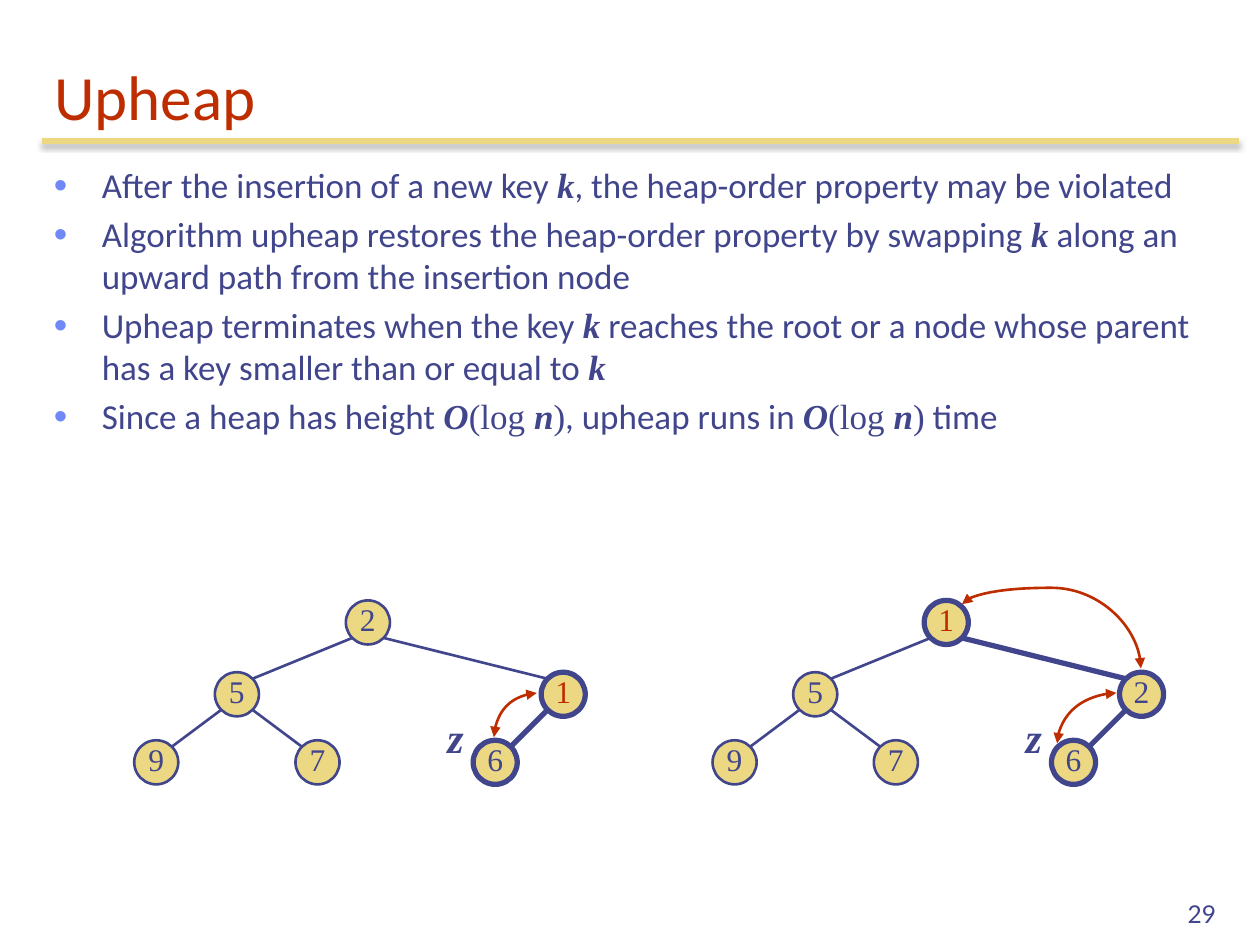
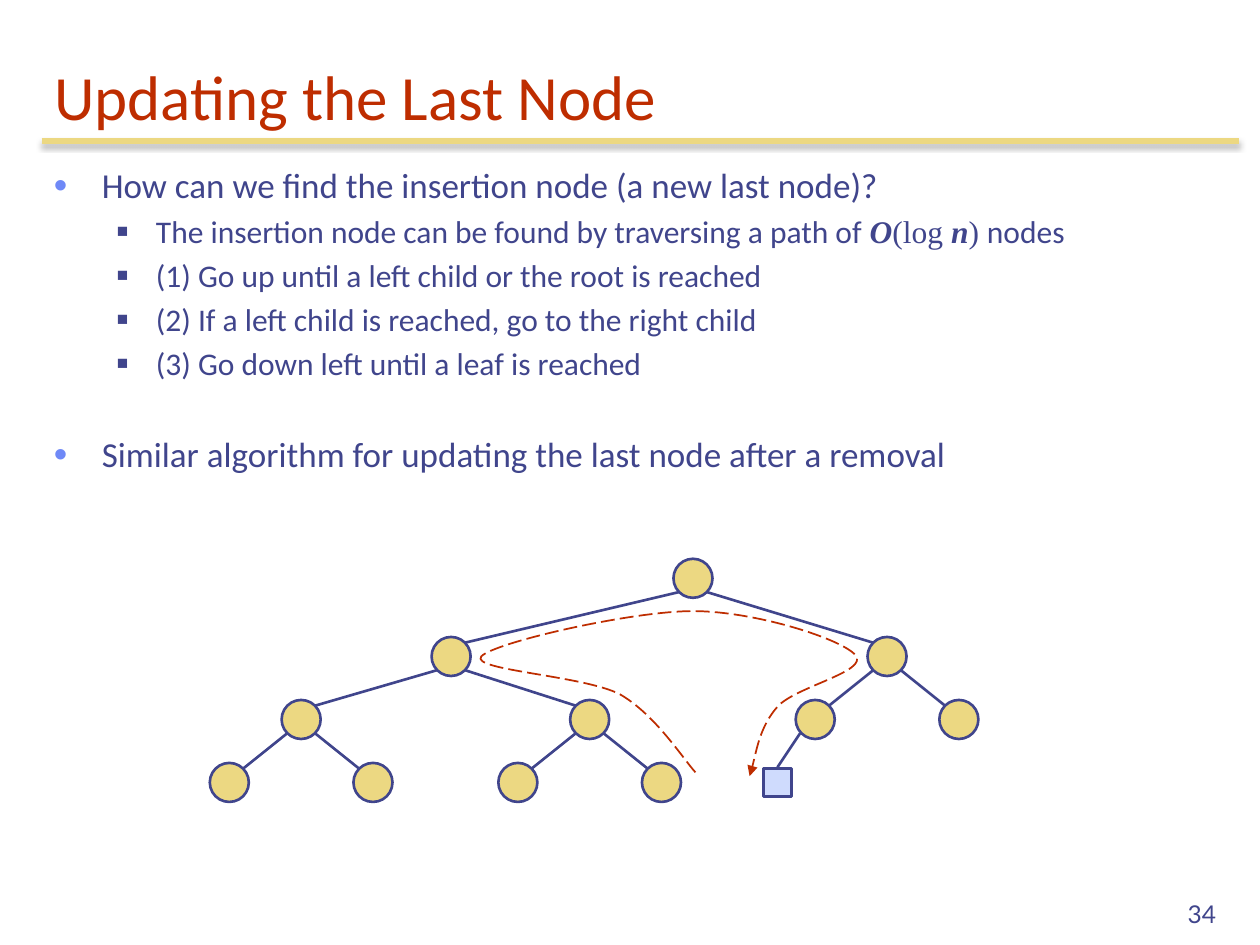
from lxml import etree
from pptx import Presentation
from pptx.dml.color import RGBColor
from pptx.enum import dml, shapes, text
from pptx.oxml.ns import qn
from pptx.util import Inches, Pt

RED = RGBColor(0xBE, 0x2D, 0x00)
NAVY = RGBColor(0x40, 0x45, 0x8C)
BLUE = RGBColor(0x6F, 0x89, 0xF7)
GOLD = RGBColor(0xEC, 0xD8, 0x82)
PALE = RGBColor(0xCF, 0xDB, 0xFD)
BODY, MATH, FOOT = "Calibri", "Times New Roman", "Lato"
LEVELS = [
    {"size": 20, "left": 0.38, "hang": 0.38, "mark": "•", "color": BLUE, "scale": 110},
    {"size": 18, "left": 0.81, "hang": 0.31, "mark": "■", "color": NAVY, "scale": 60},
]
OVAL = shapes.MSO_SHAPE.OVAL
SQUARE = shapes.MSO_SHAPE.RECTANGLE


def add_xml(parent, tag, **attrs):
    node = etree.SubElement(parent, qn(tag))
    for name, value in attrs.items():
        node.set(name, str(value))
    return node


def style(run, size, color=NAVY, face=BODY, strong=False):
    font = run.font
    font.size, font.name = Pt(size), face
    font.bold = font.italic = strong
    font.color.rgb = color


def add_arrow(shape, *ends):
    line = shape.element.spPr.find(qn("a:ln"))
    for end in ends:
        add_xml(line, end, type="triangle")


def add_line(slide, start, end, color=NAVY, width=1.5, kind=shapes.MSO_CONNECTOR.STRAIGHT):
    line = slide.shapes.add_connector(kind, *map(Inches, (*start, *end)))
    line.line.color.rgb = color
    line.line.width = Pt(width)
    return line, add_xml(line.element.spPr, "a:effectLst")


def add_label(slide, box, words, size, face, align, strong=False):
    label = slide.shapes.add_textbox(*map(Inches, box))
    frame = label.text_frame
    frame.text = words
    frame.paragraphs[0].alignment = align
    style(frame.paragraphs[0].runs[0], size, NAVY, face, strong)
    return frame


def add_frame(deck, title, number):
    slide = deck.slides.add_slide(deck.slide_layouts[5])
    _, effect = add_line(slide, (0.33, 1.12), (9.83, 1.12), GOLD, 3)
    shadow = add_xml(effect, "a:outerShdw", blurRad=Pt(3.1), dist=Pt(1.8),
                     dir=90 * 60000, rotWithShape=0)
    add_xml(add_xml(shadow, "a:srgbClr", val="000000"), "a:alpha", val=35000)

    head = slide.shapes.title
    head.left, head.top, head.width, head.height = map(Inches, (0.33, 0.33, 9.5, 0.78))
    frame = head.text_frame
    frame.text = title
    frame.auto_size = text.MSO_AUTO_SIZE.NONE
    frame.vertical_anchor = text.MSO_ANCHOR.BOTTOM
    frame.paragraphs[0].alignment = text.PP_ALIGN.LEFT
    style(frame.paragraphs[0].runs[0], 36, RED)

    foot = add_label(slide, (7.67, 6.92, 2.08, 0.5), number, 14, FOOT, text.PP_ALIGN.RIGHT)
    foot.word_wrap = True
    foot.vertical_anchor = text.MSO_ANCHOR.BOTTOM
    return slide


def add_bullets(slide, box, items):
    frame = slide.shapes.add_textbox(*map(Inches, box)).text_frame
    frame.word_wrap = True
    for index, (depth, gap, words) in enumerate(items):
        para = frame.paragraphs[0] if index == 0 else frame.add_paragraph()
        level = LEVELS[depth]
        para.level = depth
        para.space_before = Pt(0.2 * level["size"] + gap)
        props = para._p.get_or_add_pPr()
        props.set("marL", str(Inches(level["left"])))
        props.set("indent", str(-Inches(level["hang"])))
        add_xml(add_xml(props, "a:buClr"), "a:srgbClr", val=level["color"])
        add_xml(props, "a:buSzPct", val=level["scale"] * 1000)
        add_xml(props, "a:buFont", typeface="Arial")
        add_xml(props, "a:buChar", char=level["mark"])
        for part in words.split("|"):
            run = para.add_run()
            run.text = part.lstrip("*^")
            face = MATH if part[0] in "*^" else BODY
            style(run, level["size"], NAVY, face, part[0] == "*")


def add_node(slide, center, size, width=1.5, kind=OVAL, fill=GOLD, key="", color=NAVY):
    x, y = center
    node = slide.shapes.add_shape(
        kind, *map(Inches, (x - size / 2, y - size / 2, size, size)))
    node.shadow.inherit = False
    node.fill.solid()
    node.fill.fore_color.rgb = fill
    node.line.color.rgb = NAVY
    node.line.width = Pt(width)
    if key:
        frame = node.text_frame
        frame.text = key
        frame.word_wrap = False
        frame.margin_left = frame.margin_right = frame.margin_top = 0
        frame.margin_bottom = Inches(0.05)
        frame.vertical_anchor = text.MSO_ANCHOR.MIDDLE
        frame.paragraphs[0].alignment = text.PP_ALIGN.CENTER
        style(frame.paragraphs[0].runs[0], 18, color, MATH)


def add_edge(slide, parent, child, size, width=1.5):
    reach = 0.35 * size
    side = reach if child[0] > parent[0] else -reach
    add_line(slide, (parent[0] + side, parent[1] + reach),
             (child[0] - side, child[1] - reach), width=width)


def add_heap(slide, left, top, keys, bold):
    size = 0.35
    spots = [(1.86, 0.17), (0.82, 0.74), (3.41, 0.74),
             (0.18, 1.28), (1.46, 1.28), (2.87, 1.28)]
    spots = [(left + x, top + y) for x, y in spots]
    for child in range(1, len(spots)):
        parent = (child - 1) // 2
        width = 3 if {parent, child} <= bold else 1.5
        add_edge(slide, spots[parent], spots[child], size, width)
    for index, (spot, key) in enumerate(zip(spots, keys)):
        add_node(slide, spot, size, 3 if index in bold else 1.5,
                 key=key, color=RED if key == "1" else NAVY)
    mark = add_label(slide, (left + 2.39, top + 0.83, 0.33, 0.5), "z", 24, MATH,
                     text.PP_ALIGN.CENTER, True)
    mark.word_wrap = False


def add_swap(slide, box, turn, flip, preset, bend=None):
    x, y, w, h = box
    swap, _ = add_line(slide, (x, y), (x + w, y + h), RED,
                       kind=shapes.MSO_CONNECTOR.CURVE)
    props = swap.element.spPr
    frame = props.find(qn("a:xfrm"))
    frame.set("rot", str(turn * 60000))
    frame.set(flip, "1")
    shape = props.find(qn("a:prstGeom"))
    shape.set("prst", preset)
    if bend:
        add_xml(shape.find(qn("a:avLst")), "a:gd", name="adj1", fmla=f"val {bend}")
    add_arrow(swap, "a:headEnd", "a:tailEnd")


def add_route(slide, points):
    points = [tuple(map(Inches, point)) for point in points]
    build = slide.shapes.build_freeform(*points[0])
    build.add_line_segments(points[1:], close=False)
    route = build.convert_to_shape()
    route.shadow.inherit = False
    route.fill.background()
    route.line.color.rgb = RED
    route.line.width = Pt(1)
    route.line.dash_style = dml.MSO_LINE.LONG_DASH
    add_arrow(route, "a:tailEnd")
    trail = next(route.element.iter(qn("a:path")))
    steps = trail.findall(qn("a:lnTo"))
    for first in range(0, len(steps), 3):
        curve = add_xml(trail, "a:cubicBezTo")
        for step in steps[first:first + 3]:
            curve.append(step[0])
            trail.remove(step)


def add_tree(slide, left, top):
    size = 0.31
    root, west, east = (3.84, 0.16), (1.92, 0.78), (5.38, 0.78)
    links = [(root, west), (root, east)]
    outer, inner = (0.73, 1.28), (3.02, 1.28)
    links += [(west, outer), (west, inner)]
    for x, y in (outer, inner, east):
        links += [((x, y), (x + side, y + 0.5)) for side in (-0.57, 0.57)]

    def place(spot):
        return left + spot[0], top + spot[1]

    for parent, child in links:
        add_edge(slide, place(parent), place(child), size)
    add_line(slide, place((4.69, 1.39)), place((4.51, 1.66)))
    for spot in [root] + [child for _, child in links]:
        add_node(slide, place(spot), size)
    add_node(slide, place((4.51, 1.78)), 0.22, kind=SQUARE, fill=PALE)
    route = [(3.86, 1.7), (3.76, 1.59), (3.54, 1.24), (3.26, 1.08),
             (2.97, 0.93), (2.07, 0.89), (2.16, 0.78),
             (2.26, 0.67), (3.35, 0.42), (3.84, 0.42),
             (4.33, 0.42), (5.02, 0.64), (5.13, 0.77),
             (5.24, 0.9), (4.65, 1.02), (4.51, 1.18),
             (4.37, 1.34), (4.33, 1.61), (4.29, 1.73)]
    add_route(slide, [place(spot) for spot in route])


def main():
    deck = Presentation()
    deck.slide_width, deck.slide_height = Inches(10), Inches(7.5)
    area = (0.33, 1.25, 9.5, 5.67)

    slide = add_frame(deck, "Upheap", "29")
    add_bullets(slide, area, [
        (0, 0, "After the insertion of a new key |*k|, the heap-order property may be violated"),
        (0, 0, "Algorithm upheap restores the heap-order property by swapping |*k"
               "| along an upward path from the insertion node"),
        (0, 0, "Upheap terminates when the key |*k| reaches the root or a node whose "
               "parent has a key smaller than or equal to |*k"),
        (0, 0, "Since a heap has height |*O|^(log |*n|^)|, upheap runs in "
               "|*O|^(log |*n|^)| time"),
    ])
    add_heap(slide, 1.06, 4.77, "251976", {2, 5})
    add_heap(slide, 5.65, 4.77, "152976", {0, 2, 5})
    add_swap(slide, (8.09, 4.34, 0.51, 1.42), 90, "flipH", "curvedConnector3", 125600)
    add_swap(slide, (8.39, 5.5, 0.47, 0.4), 180, "flipV", "curvedConnector2")
    add_swap(slide, (3.92, 5.5, 0.34, 0.35), 180, "flipV", "curvedConnector2")

    slide = add_frame(deck, "Updating the Last Node", "34")
    add_bullets(slide, area, [
        (0, 0, "How can we find the insertion node (a new last node)?"),
        (1, 0, "The insertion node can be found by traversing a path of "
               "|*O|^(log |*n|^) |nodes"),
        (1, 0, "(1) Go up until a left child or the root is reached"),
        (1, 0, "(2) If a left child is reached, go to the right child"),
        (1, 0, "(3) Go down left until a leaf is reached"),
        (0, 25, "Similar algorithm for updating the last node after a removal"),
    ])
    add_tree(slide, 1.66, 4.43)
    deck.save("out.pptx")


if __name__ == "__main__":
    main()
